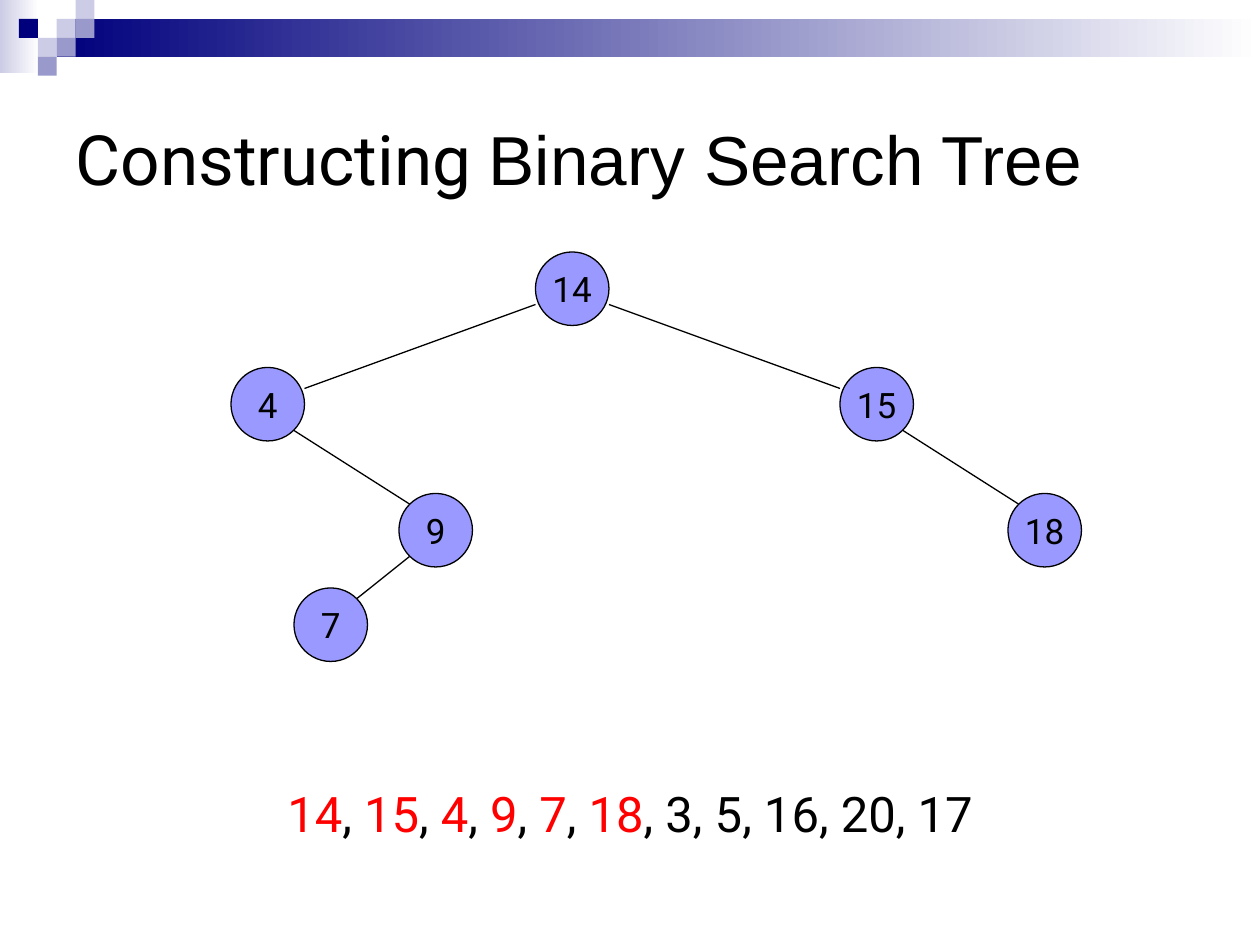
from lxml import etree
from pptx import Presentation
from pptx.dml.color import RGBColor
from pptx.enum.shapes import MSO_CONNECTOR, MSO_SHAPE
from pptx.enum.text import MSO_ANCHOR, PP_ALIGN
from pptx.oxml.ns import qn
from pptx.util import Pt

RECTANGLE, OVAL = MSO_SHAPE.RECTANGLE, MSO_SHAPE.OVAL
STRAIGHT = MSO_CONNECTOR.STRAIGHT
MIDDLE = MSO_ANCHOR.MIDDLE
LEFT, CENTER = PP_ALIGN.LEFT, PP_ALIGN.CENTER

PX = 7620  # EMU per px, 120 px to the inch
TITLE_ONLY = 5
COLORS = {
    "navy": "00007D", "lavender": "CCCCE6", "violet": "9999CC",
    "node": "9999FF", "black": "000000", "red": "FF0000", "white": "FFFFFF",
}
NODE_SIZE = 70
CELL = 18

# Node value: left and top inside the tree box
NODES = {14: (290, 0), 15: (580, 110), 4: (0, 110),
         9: (160, 230), 7: (60, 320), 18: (740, 230)}
# Parent, child, and how far the line ends sit inside the node boxes
EDGES = [(14, 15, (0, 20)), (14, 4, (0, 20)), (4, 9, (10, 10)),
         (9, 7, (10, 10)), (15, 18, (10, 10))]
SEQUENCE = [14, 15, 4, 9, 7, 18, 3, 5, 16, 20, 17]


def color(name):
    return RGBColor.from_string(COLORS[name])


def emu(*lengths):
    return [length * PX for length in lengths]


def add_filled_shape(slide, kind, box, *fill_names):
    """Add a shape with one solid colour, or a left-to-right gradient of two."""
    shape = slide.shapes.add_shape(kind, *emu(*box))
    shape.shadow.inherit = False
    shape.line.fill.background()
    if len(fill_names) == 1:
        shape.fill.solid()
        shape.fill.fore_color.rgb = color(fill_names[0])
    else:
        shape.fill.gradient()
        shape.fill.gradient_angle = 0
        for position, (stop, name) in enumerate(zip(shape.fill.gradient_stops, fill_names)):
            stop.position = position
            stop.color.rgb = color(name)
    return shape


def add_header(slide, box):
    left, top, width, height = box
    # Gradient bands
    add_filled_shape(slide, RECTANGLE, (left, top, 37, height), "lavender", "white")
    add_filled_shape(slide, RECTANGLE, (left + 54, top + CELL, width - 54, 2 * CELL),
                     "navy", "white")
    # Checker cells: column, row, colour
    cells = [(3, 1, "lavender"), (4, 0, "lavender"), (4, 1, "violet"), (2, 2, "lavender"),
             (1, 1, "navy"), (3, 2, "violet"), (2, 3, "violet")]
    for column, row, name in cells:
        add_filled_shape(slide, RECTANGLE,
                         (left + column * CELL, top + row * CELL, CELL, CELL), name)


def add_runs(paragraph, runs, size):
    """Write (text, font name, colour name) runs at one size."""
    paragraph.font.size = Pt(size)
    for text, font_name, color_name in runs:
        run = paragraph.add_run()
        run.text = text
        run.font.name = font_name
        run.font.color.rgb = color(color_name)


def add_title(slide, box):
    title = slide.shapes.title
    title.left, title.top, title.width, title.height = emu(*box)
    title.text_frame.vertical_anchor = MIDDLE
    paragraph = title.text_frame.paragraphs[0]
    paragraph.alignment = LEFT
    add_runs(paragraph, [("Constructing ", "Roboto", "black"),
                         ("Binary Search Tree", "Arial", "black")], 39.6)


def add_node(slide, left, top, value):
    node = add_filled_shape(slide, OVAL, (left, top, NODE_SIZE, NODE_SIZE), "node")
    node.line.color.rgb = color("black")
    node.line.width = Pt(0.75)
    frame = node.text_frame
    frame.margin_left = frame.margin_right = frame.margin_top = frame.margin_bottom = 0
    frame.vertical_anchor = MIDDLE
    frame.word_wrap = False
    paragraph = frame.paragraphs[0]
    paragraph.text = str(value)
    paragraph.alignment = CENTER
    paragraph.font.name = "Roboto"
    paragraph.font.size = Pt(20)
    paragraph.font.color.rgb = color("black")


def add_edge(slide, parent, child, inset):
    """Join the lower corner of the parent to the facing upper corner of the child."""
    near, far = inset[0], NODE_SIZE - inset[0]
    start_x, end_x = (far, near) if child[0] > parent[0] else (near, far)
    line = slide.shapes.add_connector(STRAIGHT, *emu(
        parent[0] + start_x, parent[1] + NODE_SIZE - inset[1],
        child[0] + end_x, child[1] + inset[1]))
    line.line.color.rgb = color("black")
    line.line.width = Pt(0.75)
    etree.SubElement(line._element.spPr, qn("a:effectLst"))


def add_tree(slide, box):
    left, top = box[:2]
    places = {value: (left + x, top + y) for value, (x, y) in NODES.items()}
    for parent, child, inset in EDGES:
        add_edge(slide, places[parent], places[child], inset)
    for value, place in places.items():
        add_node(slide, *place, value)


def add_sequence(slide, box):
    """List the keys, with those already in the tree in red."""
    text_box = slide.shapes.add_textbox(*emu(*box))
    text_box.text_frame.word_wrap = True
    paragraph = text_box.text_frame.paragraphs[0]
    paragraph.alignment = CENTER
    inserted = [value for value in SEQUENCE if value in NODES]
    waiting = [value for value in SEQUENCE if value not in NODES]
    runs = []
    for value in inserted:
        runs += [(str(value), "Roboto", "red"), (", ", "Roboto", "black")]
    runs.append((", ".join(map(str, waiting)), "Roboto", "black"))
    add_runs(paragraph, runs, 28)


def main():
    presentation = Presentation()
    presentation.slide_width, presentation.slide_height = emu(1200, 900)
    slide = presentation.slides.add_slide(presentation.slide_layouts[TITLE_ONLY])
    add_header(slide, (0, 0, 1200, 70))
    add_title(slide, (60, 60, 1080, 180))
    add_tree(slide, (220, 240, 810, 390))
    add_sequence(slide, (60, 740, 1080, 90))
    presentation.save("out.pptx")


if __name__ == "__main__":
    main()
